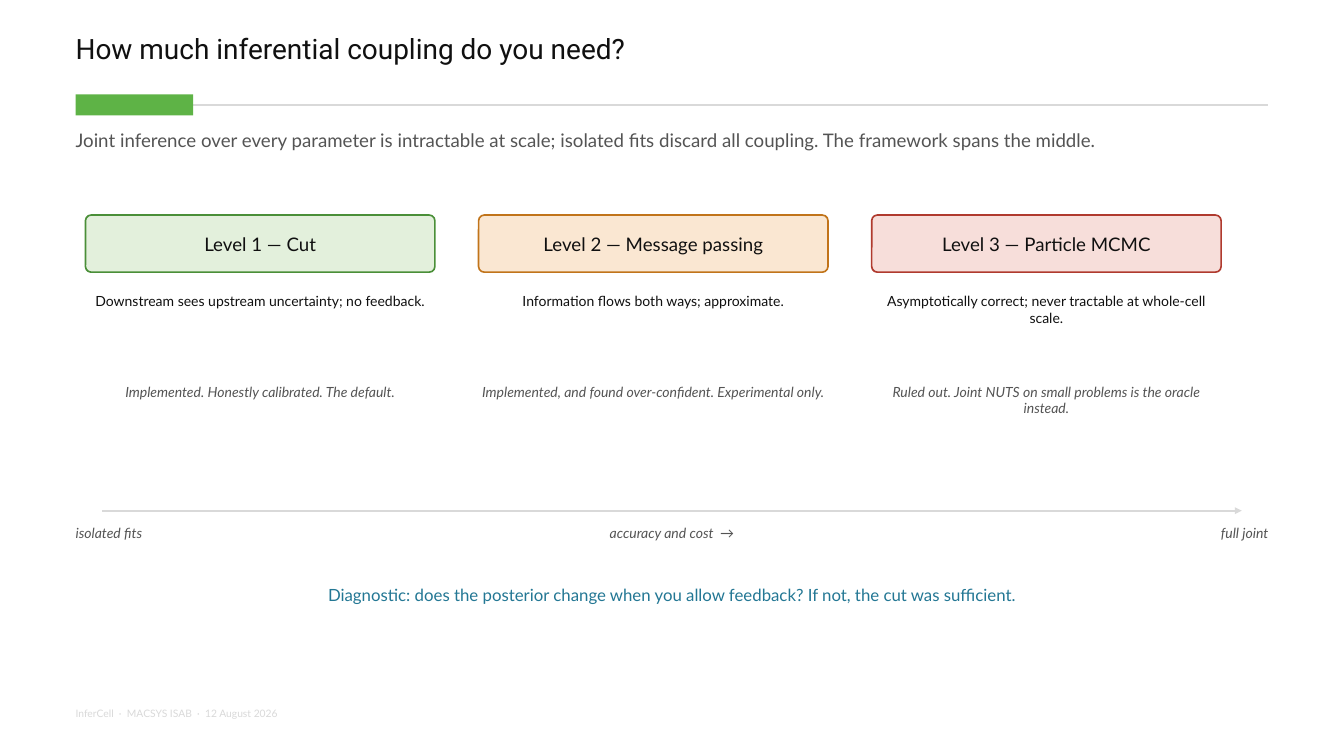
from dataclasses import dataclass

from lxml import etree
from pptx import Presentation
from pptx.dml.color import RGBColor
from pptx.enum.shapes import MSO_CONNECTOR, MSO_SHAPE
from pptx.enum.text import MSO_ANCHOR, MSO_AUTO_SIZE, PP_ALIGN
from pptx.oxml.ns import qn
from pptx.util import Pt

LEFT, CENTER, RIGHT = PP_ALIGN.LEFT, PP_ALIGN.CENTER, PP_ALIGN.RIGHT
TOP, MIDDLE = MSO_ANCHOR.TOP, MSO_ANCHOR.MIDDLE
RECT, ROUNDED = MSO_SHAPE.RECTANGLE, MSO_SHAPE.ROUNDED_RECTANGLE
STRAIGHT = MSO_CONNECTOR.STRAIGHT
NO_AUTOFIT = MSO_AUTO_SIZE.NONE

COLORS = {
    "ink": "101010", "muted": "545454", "rule": "D9D9D9",
    "accent": "5EB346", "diagnostic": "237794",
    "green": "4A8F38", "green_tint": "E3F0DC",
    "orange": "C1741A", "orange_tint": "FAE7D2",
    "red": "B03A2E", "red_tint": "F7DEDA",
}

# Page frame, in points
MARGIN, CONTENT_W = 81, 1278
RULE_Y = 112.5

# Level columns, in points
COLUMN_X, COLUMN_W, COLUMN_GAP = 91.6, 374.4, 46.8


@dataclass
class Level:
    name: str
    summary: str
    status: str
    hue: str


LEVELS = [
    Level("Level 1 — Cut",
          "Downstream sees upstream uncertainty; no feedback.",
          "Implemented. Honestly calibrated. The default.", "green"),
    Level("Level 2 — Message passing",
          "Information flows both ways; approximate.",
          "Implemented, and found over-confident. Experimental only.", "orange"),
    Level("Level 3 — Particle MCMC",
          "Asymptotically correct; never tractable at whole-cell scale.",
          "Ruled out. Joint NUTS on small problems is the oracle instead.", "red"),
]


def rgb(name: str) -> RGBColor:
    return RGBColor.from_string(COLORS[name])


def write(sp, text: str, *, size: float, color: str = "ink", font: str = "Lato",
          italic: bool = False, align=LEFT, anchor=TOP, insets=(0, 0),
          spacing: float = 1.0) -> None:
    """Fill a shape with one formatted paragraph."""
    tf = sp.text_frame
    tf.word_wrap = True
    tf.auto_size = NO_AUTOFIT
    tf.vertical_anchor = anchor
    tf.margin_left = tf.margin_right = Pt(insets[0])
    tf.margin_top = tf.margin_bottom = Pt(insets[1])
    p = tf.paragraphs[0]
    p.alignment = align
    p.line_spacing = spacing
    r = p.add_run()
    r.text = text
    r.font.name = font
    r.font.size = Pt(size)
    r.font.italic = italic
    r.font.color.rgb = rgb(color)


def add_text(s, text: str, x: float, y: float, w: float, h: float, **style) -> None:
    write(s.shapes.add_textbox(Pt(x), Pt(y), Pt(w), Pt(h)), text, **style)


def add_box(s, kind, x: float, y: float, w: float, h: float, fill: str,
            line: str | None = None):
    sp = s.shapes.add_shape(kind, Pt(x), Pt(y), Pt(w), Pt(h))
    sp.shadow.inherit = False
    sp.fill.solid()
    sp.fill.fore_color.rgb = rgb(fill)
    if line:
        sp.line.color.rgb = rgb(line)
        sp.line.width = Pt(1.75)
    else:
        sp.line.fill.background()
    return sp


def add_rule(s, x1: float, x2: float, y: float, width: float,
             arrow: bool = False) -> None:
    line = s.shapes.add_connector(STRAIGHT, Pt(x1), Pt(y), Pt(x2), Pt(y))
    line.line.color.rgb = rgb("rule")
    line.line.width = Pt(width)
    if arrow:
        etree.SubElement(line.line._get_or_add_ln(), qn("a:tailEnd"), type="triangle")
    etree.SubElement(line._element.spPr, qn("a:effectLst"))


def add_level(s, level: Level, x: float) -> None:
    card = add_box(s, ROUNDED, x, 230.4, COLUMN_W, 61.2,
                   level.hue + "_tint", level.hue)
    card.adjustments[0] = 0.1
    write(card, level.name, size=20, align=CENTER, anchor=MIDDLE, insets=(4.3, 2.2))
    add_text(s, level.summary, x, 313.2, COLUMN_W, 86.4, size=15, align=CENTER)
    add_text(s, level.status, x, 410.4, COLUMN_W, 100.8, size=15,
             color="muted", italic=True, align=CENTER)


def main() -> None:
    prs = Presentation()
    prs.slide_width, prs.slide_height = Pt(1440), Pt(810)
    s = prs.slides.add_slide(prs.slide_layouts[5])

    # Title, rule and lead sentence
    title = s.shapes.title
    title.left, title.top = Pt(MARGIN), Pt(36.7)
    title.width, title.height = Pt(CONTENT_W), Pt(68.4)
    write(title, "How much inferential coupling do you need?",
          size=30, font="Roboto", spacing=0.95)
    add_rule(s, MARGIN, MARGIN + CONTENT_W, RULE_Y, 1.5)
    add_box(s, RECT, MARGIN, RULE_Y - 11.25, 126, 22.5, "accent")
    add_text(s, "Joint inference over every parameter is intractable at scale; "
             "isolated fits discard all coupling. The framework spans the middle.",
             MARGIN, 138.2, CONTENT_W, 39.6, size=20, color="muted")

    # Footer
    add_text(s, "InferCell  ·  MACSYS ISAB  ·  12 August 2026",
             MARGIN, 757.4, 895, 23, size=11, color="rule")

    # Three levels of coupling
    for i, level in enumerate(LEVELS):
        add_level(s, level, COLUMN_X + i * (COLUMN_W + COLUMN_GAP))

    # Accuracy and cost axis
    add_rule(s, 109.5, 1330.5, 547.2, 2.5, arrow=True)
    for text, x, w, align in [
        ("isolated fits", MARGIN, 360, LEFT),
        ("full joint", MARGIN + CONTENT_W - 360, 360, RIGHT),
        ("accuracy and cost  →", 504, 432, CENTER),
    ]:
        add_text(s, text, x, 561.6, w, 28.8, size=15, color="muted",
                 italic=True, align=align)

    # Diagnostic question
    add_text(s, "Diagnostic: does the posterior change when you allow feedback? "
             "If not, the cut was sufficient.",
             MARGIN, 626.4, CONTENT_W, 72, size=18, color="diagnostic", align=CENTER)

    prs.save("out.pptx")


if __name__ == "__main__":
    main()
